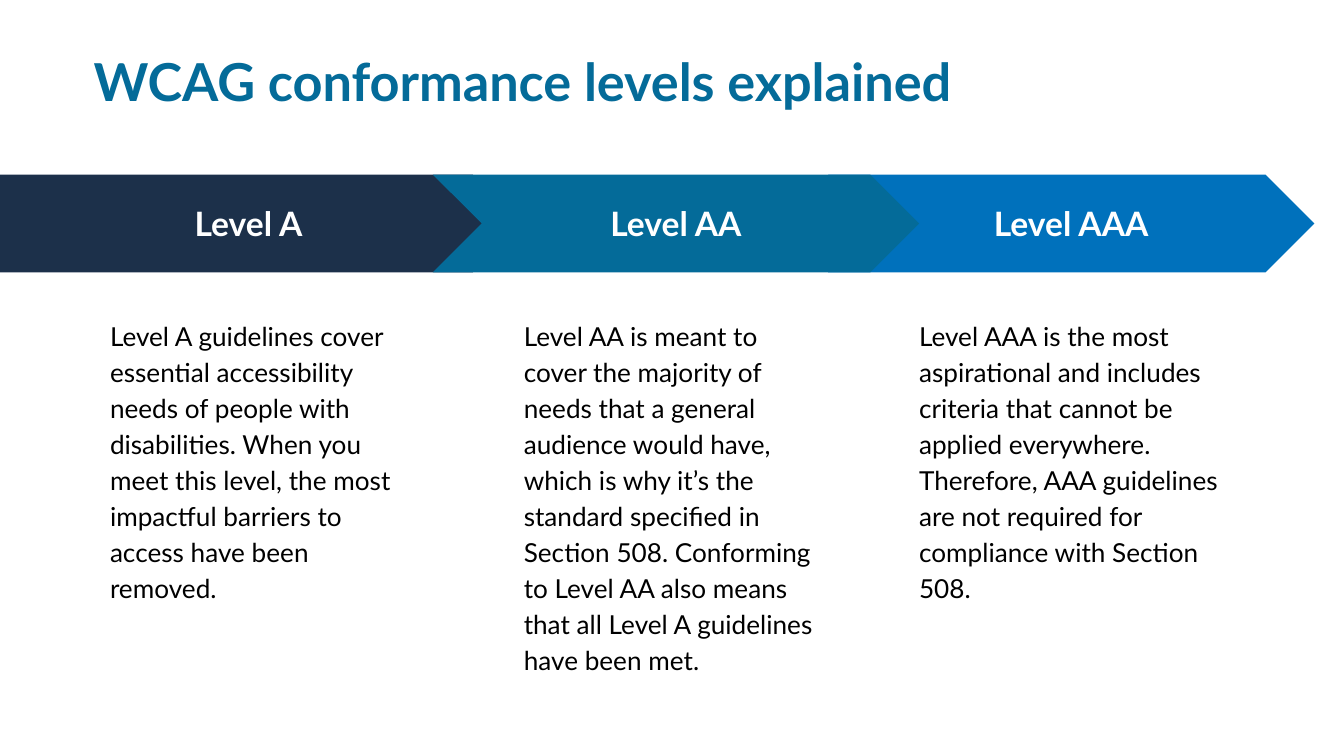
from pptx import Presentation
from pptx.dml.color import RGBColor
from pptx.enum.shapes import MSO_SHAPE
from pptx.enum.text import MSO_ANCHOR, PP_ALIGN
from pptx.util import Cm, Pt

COLORS = {
    "navy": "1C304A",
    "teal": "046B99",
    "blue": "0071BC",
    "white": "FFFFFF",
    "black": "000000",
}

ARROW_TOP, ARROW_HEIGHT = 3.3, 1.85
CHEVRON_WIDTH = 9.19
BODY_TOP, BODY_WIDTH, BODY_HEIGHT = 5.72, 6.22, 7.26

# Back to front: heading, body, preset, color, arrow left, arrow width, body left
LEVELS = [
    ("Level AAA",
     "Level AAA is the most aspirational and includes criteria that cannot be "
     "applied everywhere. Therefore, AAA guidelines are not required for "
     "compliance with Section 508.",
     MSO_SHAPE.CHEVRON, "blue", 15.65, CHEVRON_WIDTH, 17.12),
    ("Level A",
     "Level A guidelines cover essential accessibility needs of people with "
     "disabilities. When you meet this level, the most impactful barriers to "
     "access have been removed.",
     MSO_SHAPE.PENTAGON, "navy", 0, 9.86, 1.83),
    ("Level AA",
     "Level AA is meant to cover the majority of needs that a general audience "
     "would have, which is why it’s the standard specified in Section 508. "
     "Conforming to Level AA also means that all Level A guidelines have been met.",
     MSO_SHAPE.CHEVRON, "teal", 8.18, CHEVRON_WIDTH, 9.65),
]


class SlideBuilder:
    """Holds the text style and the slide being filled."""

    font = "Lato"
    inset = Cm(0.25)

    def __init__(self, page):
        self.page = page

    def set_text(self, shape, text, size, color, bold=False, align=PP_ALIGN.LEFT,
                 anchor=MSO_ANCHOR.TOP, line_spacing=None):
        frame = shape.text_frame
        frame.text = text
        frame.word_wrap = True
        frame.vertical_anchor = anchor
        frame.margin_left = frame.margin_right = self.inset
        frame.margin_top = frame.margin_bottom = self.inset
        paragraph = frame.paragraphs[0]
        paragraph.alignment = align
        paragraph.line_spacing = line_spacing
        font = paragraph.runs[0].font
        font.name, font.size, font.bold = self.font, Pt(size), bold
        font.color.rgb = RGBColor.from_string(COLORS[color])

    def title(self, text):
        box = self.page.shapes.add_textbox(Cm(1.52), Cm(0.36), Cm(20.52), Cm(2.34))
        self.set_text(box, text, 28, "teal", bold=True, anchor=MSO_ANCHOR.MIDDLE)

    def arrow(self, group, preset, left, width, color, text):
        shape = group.shapes.add_shape(
            preset, Cm(left), Cm(ARROW_TOP), Cm(width), Cm(ARROW_HEIGHT))
        shape.shadow.inherit = False
        shape.fill.solid()
        shape.fill.fore_color.rgb = RGBColor.from_string(COLORS[color])
        shape.line.fill.background()
        self.set_text(shape, text, 18, "white", bold=True,
                      align=PP_ALIGN.CENTER, anchor=MSO_ANCHOR.MIDDLE)

    def body(self, group, left, text):
        box = group.shapes.add_textbox(
            Cm(left), Cm(BODY_TOP), Cm(BODY_WIDTH), Cm(BODY_HEIGHT))
        self.set_text(box, text, 14, "black", line_spacing=1.15)

    def level(self, heading, text, preset, color, arrow_left, arrow_width, body_left):
        """Groups an arrow with the explanation below it."""
        group = self.page.shapes.add_group_shape()
        self.arrow(group, preset, arrow_left, arrow_width, color, heading)
        self.body(group, body_left, text)


def main():
    deck = Presentation()
    deck.slide_width, deck.slide_height = Cm(25.4), Cm(14.29)
    builder = SlideBuilder(deck.slides.add_slide(deck.slide_layouts[6]))
    for level in LEVELS:
        builder.level(*level)
    builder.title("WCAG conformance levels explained")
    deck.save("out.pptx")


if __name__ == "__main__":
    main()
